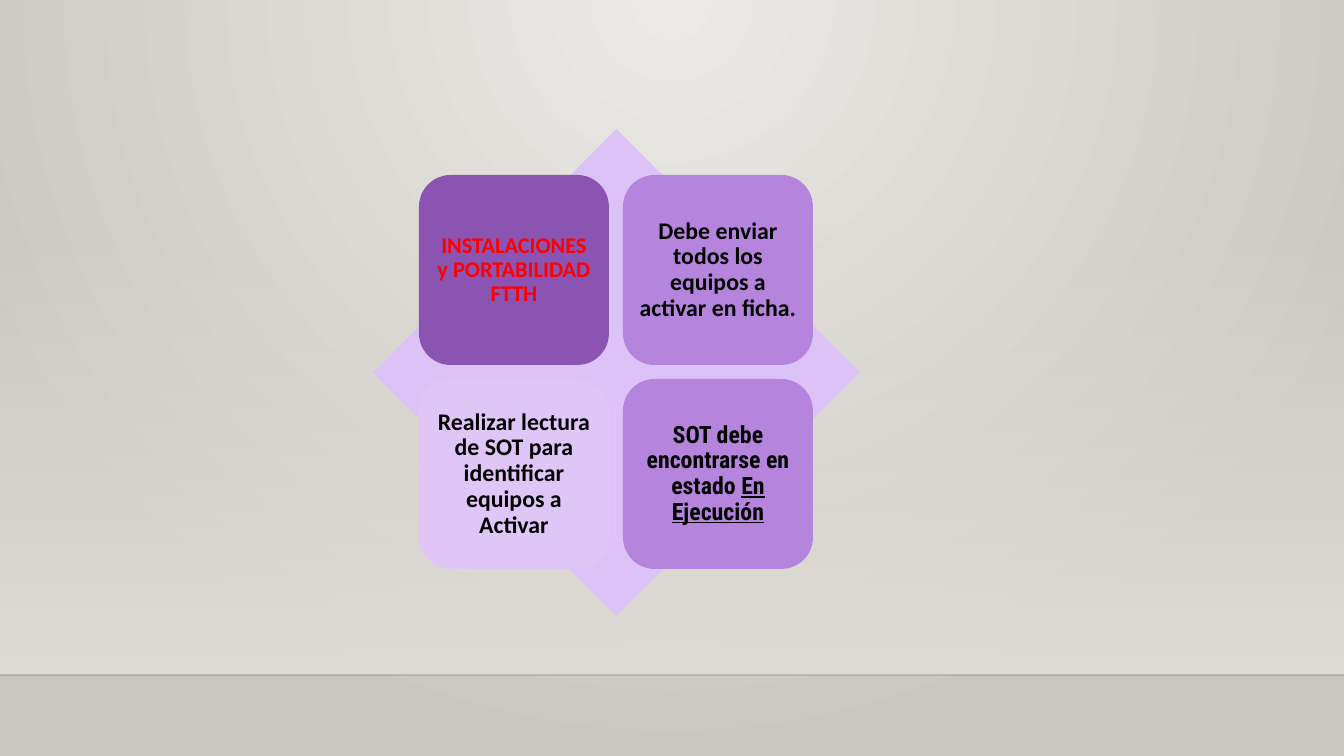
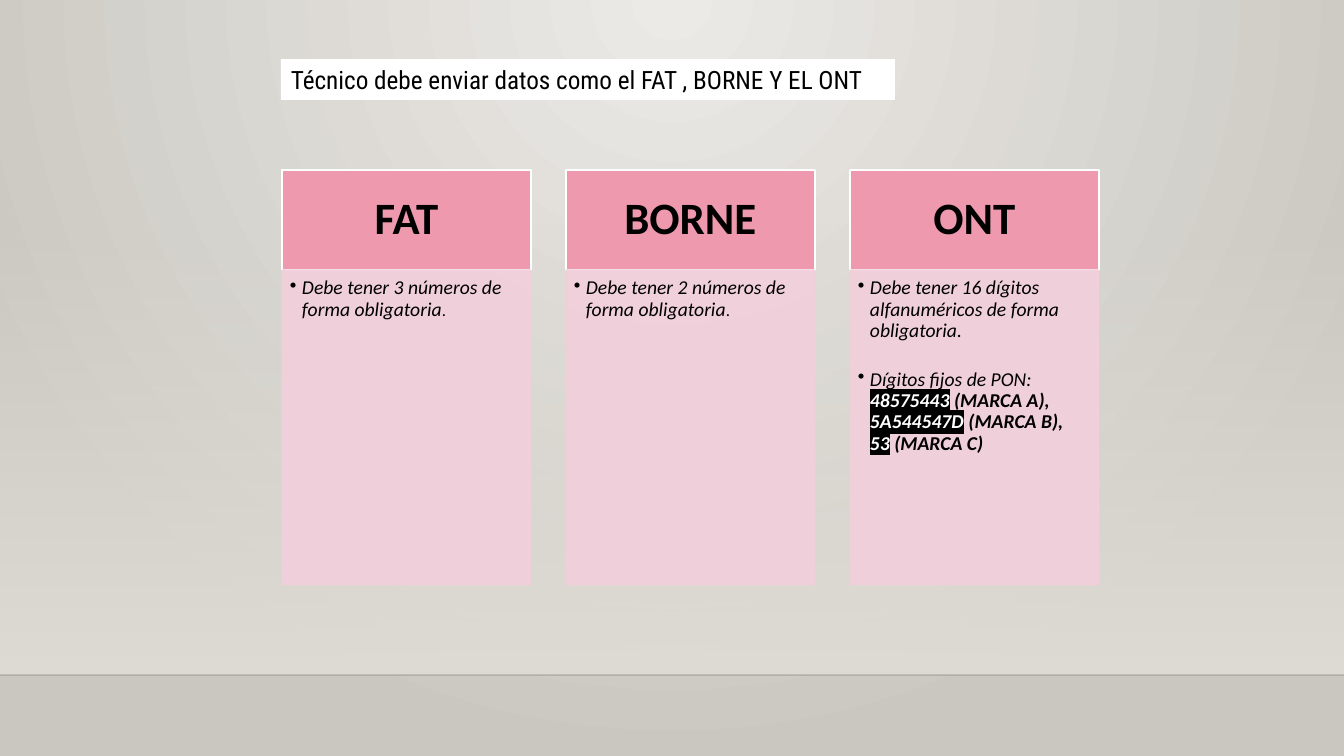
from pptx import Presentation
from pptx import util as u
from pptx.dml.color import RGBColor
from pptx.enum import shapes, text
from pptx.oxml import ns, xmlchemy

PX = 12192000 / 1344  # EMU in one px
WIDE, HIGH = 1344, 756
SANS, SLIM = "Calibri", "Roboto Condensed"
BLACK, WHITE, RED = "000000", "FFFFFF", "FF0000"
MID, LEFT = text.PP_ALIGN.CENTER, text.PP_ALIGN.LEFT
KIND = shapes.MSO_SHAPE


def px(n):
    return u.Emu(round(n * PX))


def rgb(code):
    return RGBColor.from_string(code)


def sub(parent, tag, **attrs):
    """Append a child element with the given attributes."""
    node = xmlchemy.OxmlElement(tag)
    for key, val in attrs.items():
        node.set(key, str(val))
    parent.append(node)
    return node


def fade(node, *alphas):
    """Give the colours below node, in order, these opacities in percent."""
    for clr, pct in zip(node.iter(ns.qn("a:srgbClr")), alphas):
        sub(clr, "a:alpha", val=pct * 1000)


def blend(fill, *codes):
    fill.gradient()
    for stop, code in zip(fill.gradient_stops, codes):
        stop.color.rgb = rgb(code)


class Deck:
    """Holds the shared style and the slide being drawn."""

    def __init__(self):
        self.prs = Presentation()
        self.prs.slide_width, self.prs.slide_height = px(WIDE), px(HIGH)
        self.slide = None
        self.back()

    def back(self):
        """Round glow from the top centre, set on the master."""
        master = self.prs.slide_master
        blend(master.background.fill, "ECEAE7", "CAC7C1")
        grad = master.element.find(".//" + ns.qn("a:gradFill"))
        grad.remove(grad.find(ns.qn("a:lin")))
        path = sub(grad, "a:path", path="circle")
        sub(path, "a:fillToRect", l=43000, t=0, r=43000, b=100000)

    def page(self):
        """New slide with the wall and floor line."""
        self.slide = self.prs.slides.add_slide(self.prs.slide_layouts[6])
        wall = self.shape(KIND.RECTANGLE, 0, 223, WIDE, 452)
        blend(wall.fill, "DFDBD5", "DFDBD5")
        wall.fill.gradient_angle = 270
        fade(wall.element.spPr, 0)
        self.rule(0, 675, WIDE, 675)

    def rule(self, x1, y1, x2, y2):
        line = self.slide.shapes.add_connector(
            shapes.MSO_CONNECTOR.STRAIGHT, px(x1), px(y1), px(x2), px(y2))
        line.line.color.rgb = rgb("000001")
        line.line.width = u.Pt(1)
        prop = line.element.spPr
        fade(prop, 20)
        sub(prop, "a:effectLst")

    def shape(self, kind, x, y, w, h, fill=None, edge=None, width=1):
        box = self.slide.shapes.add_shape(kind, px(x), px(y), px(w), px(h))
        box.shadow.inherit = False
        if fill:
            box.fill.solid()
            box.fill.fore_color.rgb = rgb(fill)
        if edge:
            box.line.color.rgb = rgb(edge)
            box.line.width = u.Pt(width)
        else:
            box.line.fill.background()
        return box

    def frame(self, box, pads=(10, 5, 10, 5), top=False):
        """Set up the text area and return its first paragraph."""
        area = box.text_frame
        area.word_wrap = True
        (area.margin_left, area.margin_top,
         area.margin_right, area.margin_bottom) = map(px, pads)
        area.vertical_anchor = (
            text.MSO_ANCHOR.TOP if top else text.MSO_ANCHOR.MIDDLE)
        return area.paragraphs[0]

    def para(self, par, runs, size, face=SANS, color=BLACK, bold=False,
             italic=False, align=MID, space=0.9, after=0, dot=False):
        par.alignment = align
        par.line_spacing = space
        par.space_after = u.Pt(after)
        if dot:
            prop = par._p.get_or_add_pPr()
            prop.set("marL", str(px(12)))
            prop.set("indent", str(-px(12)))
            sub(prop, "a:buChar", char="•")
        font = par.font
        font.name, font.size = face, u.Pt(size)
        font.bold, font.italic = bold, italic
        font.color.rgb = rgb(color)
        for words, look in runs:
            self.run(par, words, **look)

    def run(self, par, words, color=None, mark=None, **look):
        if words == "\n":
            par.add_line_break()
            return
        run = par.add_run()
        run.text = words
        for key, val in look.items():
            setattr(run.font, key, val)
        if color:
            run.font.color.rgb = rgb(color)
        if mark:
            light = sub(run.font._element, "a:highlight")
            sub(light, "a:srgbClr", val=mark)

    def tile(self, col, row, fill, runs, size=17, **look):
        box = self.shape(KIND.ROUNDED_RECTANGLE, 419 + 204 * col,
                         175 + 204 * row, 190, 190, fill)
        self.para(self.frame(box, (7, 7, 7, 7)), runs, size, bold=True, **look)

    def card(self, col, name, items):
        """Column head with a bulleted panel below it."""
        x, w = 282 + 284 * col, 249
        head = self.shape(KIND.RECTANGLE, x, 170, w, 100,
                          "EE99AD", WHITE, 1.75)
        self.para(self.frame(head), [(name, {})], 32, bold=True)
        body = self.shape(KIND.RECTANGLE, x, 270, w, 315,
                          "F2CFDB", "F2CFDB", 0.75)
        fade(body.element.spPr, 90, 90)
        par = self.frame(body, (8, 8, 11, 12), top=True)
        for i, runs in enumerate(items):
            if i:
                par = body.text_frame.add_paragraph()
            self.para(par, runs, 14, italic=True, align=LEFT, dot=True,
                      after=20 if i < len(items) - 1 else 0)

    def label(self, x, y, w, h, words):
        box = self.shape(KIND.RECTANGLE, x, y, w, h, WHITE)
        self.para(self.frame(box), [(words, {})], 18, face=SLIM,
                  align=LEFT, space=1.0)


def main():
    deck = Deck()

    # Slide 1: four tiles on a diamond
    deck.page()
    deck.shape(KIND.DIAMOND, 373, 129, 487, 487, "DDC2F7")
    deck.tile(0, 0, "8B54B2", [("INSTALACIONES y PORTABILIDAD FTTH", {})],
              size=16, color=RED)
    deck.tile(1, 0, "B584DD",
              [("Debe enviar todos los equipos a activar en ficha.", {})])
    deck.tile(0, 1, "DFC6F7", [
        ("Realizar lectura de SOT para identificar equipos a Activar", {})])
    deck.tile(1, 1, "B584DD", [
        ("SOT debe encontrarse en estado ", {}),
        ("En Ejecución", {"underline": True})], face=SLIM)

    # Slide 2: three columns
    deck.page()
    stop = (".", {"size": u.Pt(12), "italic": False})
    code = {"color": WHITE, "bold": True, "mark": BLACK}
    firm = {"bold": True}
    cards = [
        ("FAT", [[("Debe tener 3 números de forma obligatoria", {}), stop]]),
        ("BORNE", [[("Debe tener 2 números de forma obligatoria", {}), stop]]),
        ("ONT", [
            [("Debe tener 16 dígitos alfanuméricos de forma obligatoria.",
              {})],
            [("Dígitos fijos de PON: ", {}),
             ("48575443", code), (" (MARCA A), ", firm),
             ("5A544547D", code), (" (MARCA B),", firm), ("\n", {}),
             ("53", code), (" (MARCA C)", firm)]]),
    ]
    for col, (name, items) in enumerate(cards):
        deck.card(col, name, items)
    deck.label(281, 59, 614, 41,
               "Técnico debe enviar datos como el FAT , BORNE Y EL ONT")

    deck.prs.save("out.pptx")


if __name__ == "__main__":
    main()
